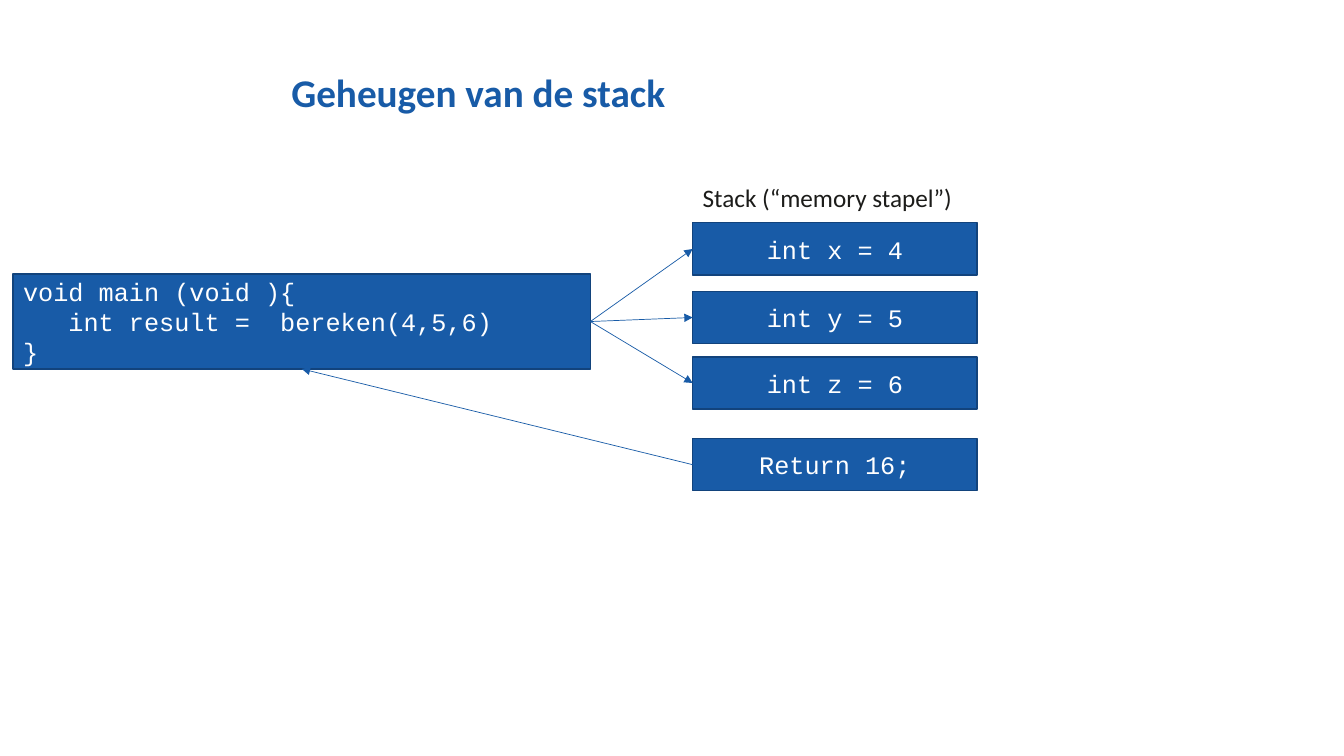
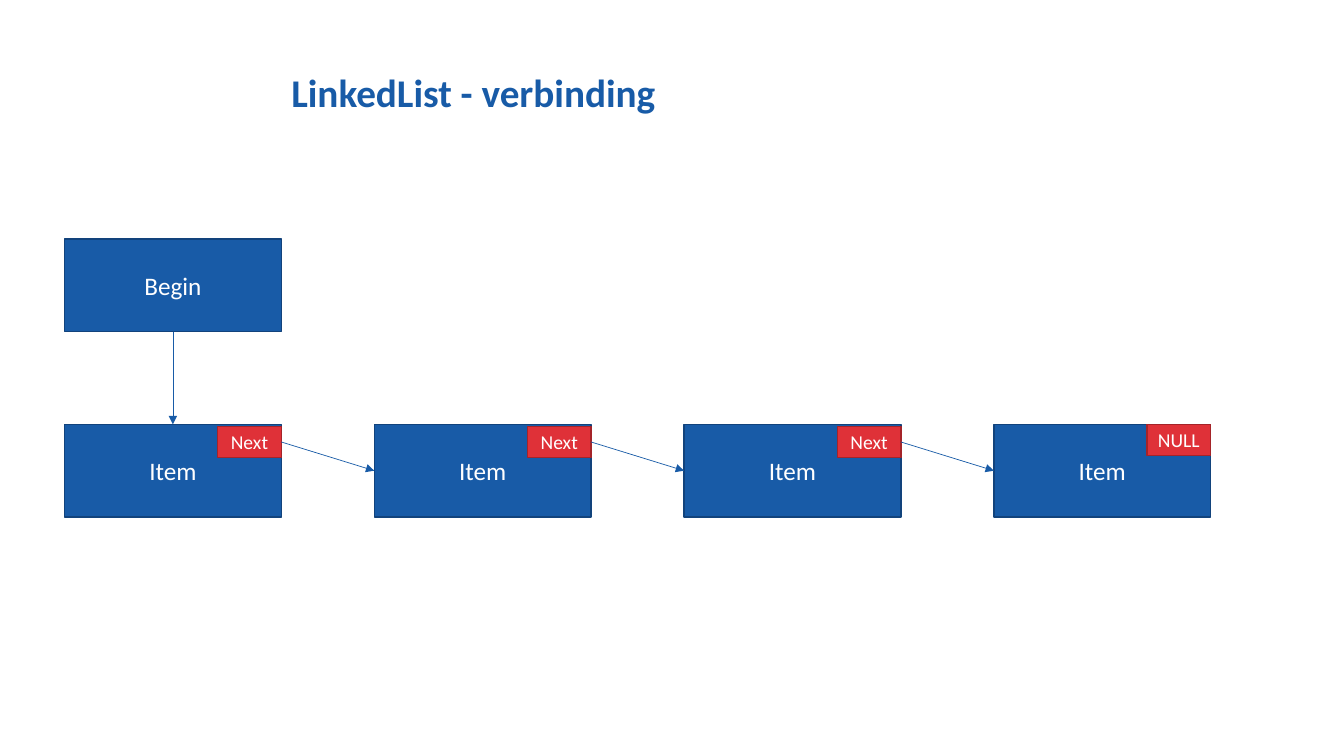
from itertools import pairwise

from lxml import etree
from pptx import Presentation
from pptx import util as u
from pptx.dml.color import RGBColor
from pptx.enum import shapes, text
from pptx.oxml import ns

BLUE = RGBColor(0x18, 0x5B, 0xA7)
DARK_BLUE = RGBColor(0x12, 0x43, 0x7C)
RED = RGBColor(0xDF, 0x31, 0x38)
DARK_RED = RGBColor(0xA5, 0x24, 0x29)
INK = RGBColor(0x1C, 0x1C, 0x1A)
WHITE = RGBColor(0xFF, 0xFF, 0xFF)

BODY_FONT = "Calibri"
CODE_FONT = "Courier New"
TOP, LEFT, BOTTOM, RIGHT = range(4)


class Deck:
    """Holds the style and current slide; lengths are percentages of the slide."""

    def __init__(self):
        self.presentation = Presentation()
        self.presentation.slide_width = u.Inches(13.33)
        self.presentation.slide_height = u.Inches(7.5)
        self.slide = None

    def place(self, left, top, width, height):
        across = self.presentation.slide_width / 100
        down = self.presentation.slide_height / 100
        return (round(left * across), round(top * down),
                round(width * across), round(height * down))

    def set_text(self, shape, lines, size, color, font=BODY_FONT, bold=False,
                 align=text.PP_ALIGN.LEFT, inset=0.1, spacing=1.0):
        frame = shape.text_frame
        frame.word_wrap = True
        frame.vertical_anchor = text.MSO_ANCHOR.MIDDLE
        frame.margin_left = frame.margin_right = u.Inches(inset)
        for index, line in enumerate(lines):
            paragraph = frame.add_paragraph() if index else frame.paragraphs[0]
            paragraph.alignment = align
            paragraph.line_spacing = spacing
            run = paragraph.add_run()
            run.text = line
            run.font.name = font
            run.font.size = u.Pt(size)
            run.font.bold = bold
            run.font.color.rgb = color

    def label(self, words, area, size=18, color=INK, **style):
        shape = self.slide.shapes.add_textbox(*self.place(*area))
        self.set_text(shape, [words], size, color, **style)
        return shape

    def new_slide(self, title):
        blank = self.presentation.slide_layouts[6]
        self.slide = self.presentation.slides.add_slide(blank)
        heading = self.label(title, (21.68, 10, 70.44, 5.07), size=28,
                             color=BLUE, bold=True, inset=0, spacing=0.9)
        heading.text_frame.margin_top = heading.text_frame.margin_bottom = 0

    def box(self, lines, area, size=18, fill=BLUE, border=DARK_BLUE,
            align=text.PP_ALIGN.CENTER, inset=0, **style):
        shape = self.slide.shapes.add_shape(
            shapes.MSO_SHAPE.RECTANGLE, *self.place(*area))
        shape.shadow.inherit = False
        shape.fill.solid()
        shape.fill.fore_color.rgb = fill
        shape.line.color.rgb = border
        shape.line.width = u.Pt(1)
        self.set_text(shape, lines, size, WHITE, align=align, inset=inset,
                      **style)
        return shape

    def tag(self, word, area):
        return self.box([word], area, size=14, fill=RED, border=DARK_RED)

    def arrow(self, source, source_side, target, target_side):
        connector = self.slide.shapes.add_connector(
            shapes.MSO_CONNECTOR.STRAIGHT, 0, 0, 0, 0)
        connector.begin_connect(source, source_side)
        connector.end_connect(target, target_side)
        connector.line.color.rgb = BLUE
        connector.line.width = u.Pt(0.5)
        properties = connector.element.spPr
        etree.SubElement(properties.find(ns.qn("a:ln")), ns.qn("a:tailEnd"),
                         type="triangle")
        etree.SubElement(properties, ns.qn("a:effectLst"))


def build_stack_slide(deck):
    deck.new_slide("Geheugen van de stack")
    stack_left, stack_width, cell_height = 51.54, 21.15, 6.93
    deck.label("Stack (“memory stapel”)",
               (stack_left, 23.47, stack_width, 5.33))
    code = deck.box(
        ["void main (void ){", "   int result =  bereken(4,5,6)", "}"],
        (0.98, 36.27, 42.95, 12.53),
        font=CODE_FONT, align=text.PP_ALIGN.LEFT, inset=0.1)

    def stack_cell(line, top):
        return deck.box([line], (stack_left, top, stack_width, cell_height),
                        font=CODE_FONT)

    for line, top in (("int x = 4", 29.47), ("int y = 5", 38.53),
                      ("int z = 6", 47.2)):
        deck.arrow(code, RIGHT, stack_cell(line, top), LEFT)
    deck.arrow(stack_cell("Return 16;", 58), LEFT, code, BOTTOM)


def build_linked_list_slide(deck):
    deck.new_slide("LinkedList - verbinding")
    left, pitch, item_top = 4.8, 23.05, 56.13
    width, height = 16.13, 12.27
    tag_width, tag_height = 4.73, 4.13

    begin = deck.box(["Begin"], (left, 31.6, width, height))
    lefts = [left + pitch * index for index in range(4)]
    items = [deck.box(["Item"], (x, item_top, width, height)) for x in lefts]
    deck.arrow(begin, BOTTOM, items[0], TOP)

    def item_tag(word, x, drop=0):
        return deck.tag(word, (x + width - tag_width, item_top + drop,
                               tag_width, tag_height))

    for x, (_, following) in zip(lefts, pairwise(items)):
        deck.arrow(item_tag("Next", x, drop=0.27), RIGHT, following, LEFT)
    item_tag("NULL", lefts[-1])


def main():
    deck = Deck()
    build_stack_slide(deck)
    build_linked_list_slide(deck)
    deck.presentation.save("out.pptx")


if __name__ == "__main__":
    main()
